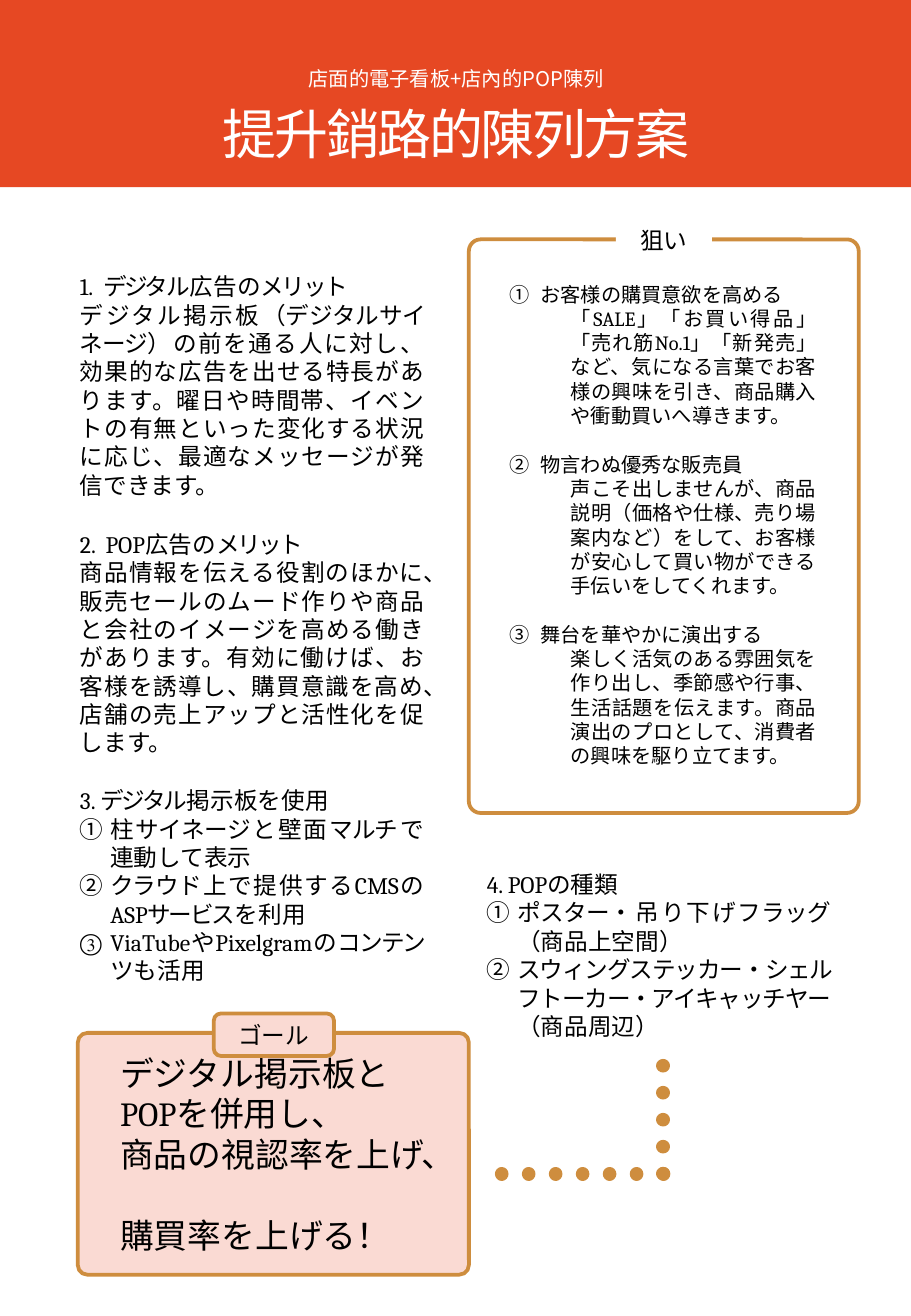
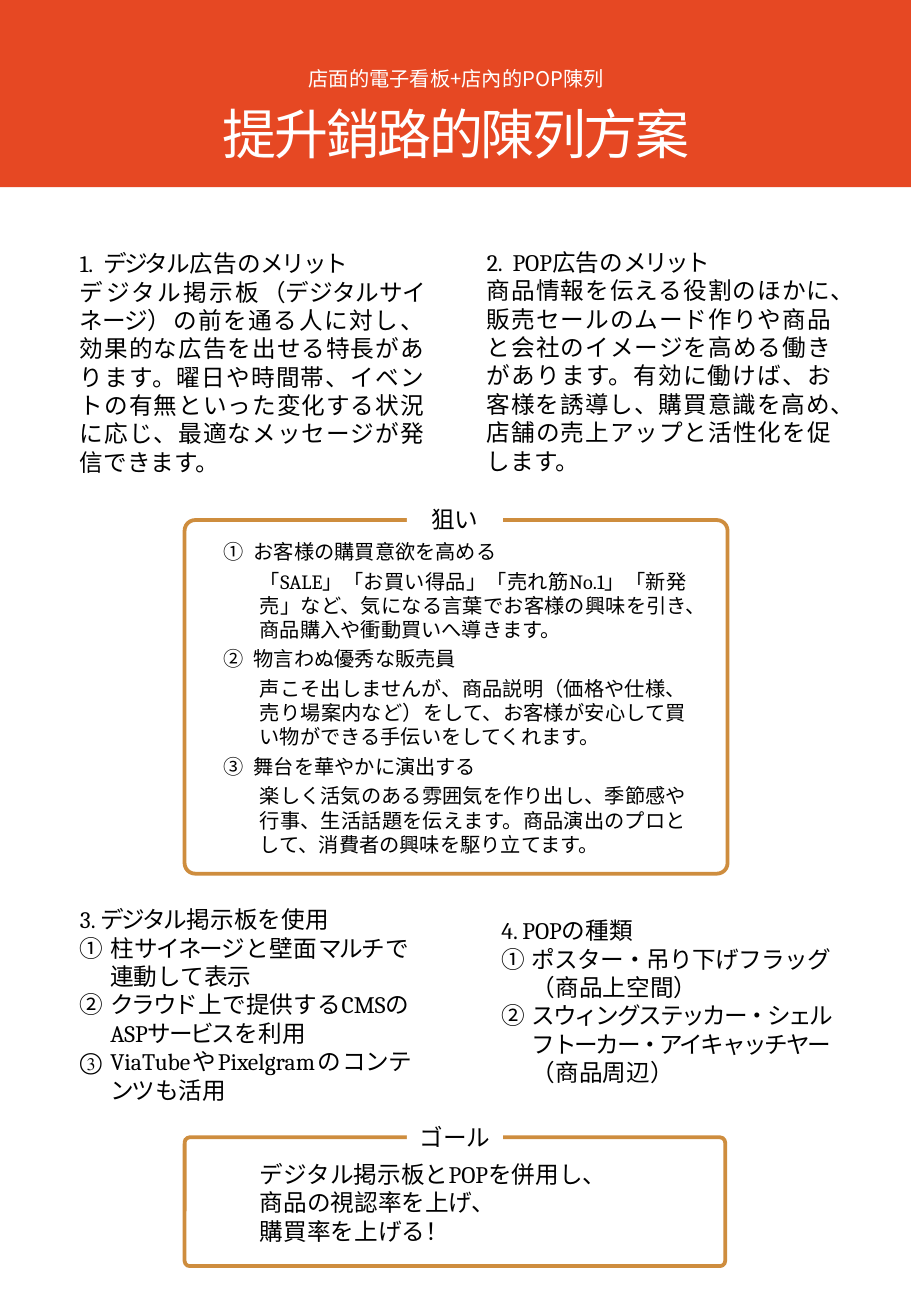
from lxml.etree import SubElement
from pptx import Presentation
from pptx.dml.color import RGBColor
from pptx.enum.dml import MSO_LINE
from pptx.enum.shapes import MSO_CONNECTOR, MSO_SHAPE
from pptx.enum.text import MSO_ANCHOR, MSO_AUTO_SIZE, PP_ALIGN
from pptx.oxml.ns import qn
from pptx.util import Inches, Pt

RED = RGBColor(0xE6, 0x48, 0x23)
GOLD = RGBColor(0xCE, 0x8D, 0x3E)
PINK = RGBColor(0xFA, 0xDA, 0xD3)
WHITE = RGBColor(0xFF, 0xFF, 0xFF)
BLACK = RGBColor(0, 0, 0)
SERIF = "Cambria"
SANS = "Noto Sans CJK JP"
LEADING = 1.2
STEP = 0.25

# Markup: "#" starts a numbered item, ">" its detail, bars enclose tight text.
DIGITAL = [
    "1.  |デジタル|広告の|メリット|",
    "デジタル掲示板|（デジタルサイネージ）|の前を通る人に対し、効果的な広告を出せる"
    "特長があります。曜日や時間帯、イベントの有無といった変化する状況に応じ、"
    "最適なメッセージが発信できます。",
]
POP = [
    "2.  POP広告の|メリット|",
    "商品情報を伝える役割のほかに、販売セールのムード作りや商品と会社のイメージを"
    "高める働きがあります。有効に働けば、お客様を誘導し、購買意識を高め、"
    "店舗の売上アップと活性化を促します。",
]
BOARD = [
    "3. |デジタル|掲示板を使用",
    "#柱|サイネージ|と壁面|マルチ|で連動して表示",
    "#|クラウド|上で提供するCMSのASP|サービス|を利用",
    "#ViaTubeやPixelgramの|コンテンツ|も活用",
]
KINDS = [
    "4. POPの種類",
    "#|ポスター・|吊り下げ|フラッグ|（商品上空間）",
    "#|スウィングステッカー・シェルフトーカー・アイキャッチヤー|（商品周辺）",
]
AIMS = [
    "#お客様の購買意欲を高める",
    ">「SALE」「お買い得品」「売れ筋No.1」「新発売」など、気になる言葉で"
    "お客様の興味を引き、商品購入や衝動買いへ導きます。",
    "#物言わぬ優秀な販売員",
    ">声こそ出しませんが、商品説明（価格や仕様、売り場案内など）をして、"
    "お客様が安心して買い物ができる手伝いをしてくれます。",
    "#舞台を華やかに演出する",
    ">楽しく活気のある雰囲気を作り出し、季節感や行事、生活話題を伝えます。"
    "商品演出のプロとして、消費者の興味を駆り立てます。",
]
GOAL = "POPを併用し、\n商品の視認率を上げ、\n購買率を上げる！"


def style(run, size, font, color, tight):
    run.font.size = Pt(size)
    run.font.name = font
    run.font.color.rgb = color
    props = run.font._element
    SubElement(props, qn("a:ea")).set("typeface", SANS)
    if tight:
        props.set("spc", "-150")


def indent(para, left, first=0):
    props = para._p.get_or_add_pPr()
    props.set("marL", str(Inches(left)))
    props.set("indent", str(Inches(first)))
    return props


def write(frame, lines, size=14, font=SERIF, color=BLACK, align=PP_ALIGN.JUSTIFY,
          anchor=MSO_ANCHOR.TOP, sub=0.5, after=0, gap=0):
    """Fill a frame with marked-up lines; gap follows each detail paragraph."""
    frame.word_wrap = True
    frame.vertical_anchor = anchor
    for row, line in enumerate(lines):
        para = frame.add_paragraph() if row else frame.paragraphs[0]
        para.alignment = align
        para.line_spacing = Pt(size * LEADING)
        space = after
        if line.startswith("#"):
            number = SubElement(indent(para, STEP, -STEP), qn("a:buAutoNum"))
            number.set("type", "circleNumDbPlain")
        elif line.startswith(">"):
            para.level = 1
            indent(para, sub)
            space = gap
        if space:
            para.space_after = Pt(space)
        for part, words in enumerate(line.lstrip("#>").split("|")):
            for turn, piece in enumerate(words.split("\n")):
                if turn:
                    para.add_line_break()
                if piece:
                    run = para.add_run()
                    run.text = piece
                    style(run, size, font, color, part % 2)


def label(slide, left, top, width, height, lines, **format):
    box = slide.shapes.add_textbox(*map(Inches, (left, top, width, height)))
    write(box.text_frame, lines, **format)
    box.text_frame.auto_size = MSO_AUTO_SIZE.SHAPE_TO_FIT_TEXT


def block(slide, left, top, width, height, fill=None, line=None, round=None):
    """Add a rectangle, with rounded corners when round is given."""
    kind = MSO_SHAPE.RECTANGLE if round is None else MSO_SHAPE.ROUNDED_RECTANGLE
    shape = slide.shapes.add_shape(kind, *map(Inches, (left, top, width, height)))
    shape.shadow.inherit = False
    if round is not None:
        shape.adjustments[0] = round
    if fill is None:
        shape.fill.background()
    else:
        shape.fill.solid()
        shape.fill.fore_color.rgb = fill
    if line is None:
        shape.line.fill.background()
    else:
        shape.line.color.rgb = line
        shape.line.width = Pt(2.25)
    return shape


def tag(slide, left, top, words):
    """Put a white caption over the top edge of a frame."""
    shape = block(slide, left, top, 0.79, 0.34, fill=WHITE)
    write(shape.text_frame, [words], font=SANS, align=PP_ALIGN.CENTER)


def dots(slide, *ends):
    line = slide.shapes.add_connector(MSO_CONNECTOR.STRAIGHT, *map(Inches, ends))
    line.line.color.rgb = GOLD
    line.line.width = Pt(8)
    line.line.dash_style = MSO_LINE.ROUND_DOT
    props = line._element.spPr
    props.find(qn("a:ln")).set("cap", "rnd")
    SubElement(props, qn("a:effectLst"))


def start(deck):
    """Add a slide with the shared title band."""
    slide = deck.slides.add_slide(deck.slide_layouts[6])
    block(slide, 0, -0.03, 7.5, 1.57, fill=RED)
    head = dict(font=SANS, color=WHITE, align=PP_ALIGN.CENTER)
    label(slide, 1.54, 0.5, 4.43, 0.3, ["店面的電子看板+店內的POP陳列"],
          size=12, **head)
    label(slide, 1.22, 0.78, 5.07, 0.64, ["|提升銷路的陳列方案|"], size=32, **head)
    return slide


def columns(deck):
    slide = start(deck)
    label(slide, 0.56, 2.19, 3.03, 1.99, DIGITAL)
    block(slide, 0.64, 8.5, 3.22, 1.99, fill=PINK, line=GOLD, round=0.04)
    label(slide, 0.89, 8.77, 2.72, 1.45, ["デジタル掲示板と\n" + GOAL],
          size=20, align=PP_ALIGN.LEFT, anchor=MSO_ANCHOR.MIDDLE)
    label(slide, 0.56, 4.31, 3.03, 1.99, POP)
    label(slide, 0.56, 6.42, 3.03, 1.75, BOARD)
    label(slide, 3.91, 7.11, 3.03, 1.51, KINDS)
    block(slide, 3.86, 1.97, 3.21, 4.72, line=GOLD, round=0.03)
    label(slide, 4.1, 2.27, 2.72, 4.14, AIMS, size=12, gap=12 * LEADING)
    tag(slide, 5.07, 1.81, "狙い")
    dots(slide, 5.46, 8.77, 5.46, 9.68)
    dots(slide, 4.13, 9.66, 5.49, 9.66)
    goal = block(slide, 1.76, 8.34, 0.99, 0.35, fill=PINK, line=GOLD, round=0.17)
    write(goal.text_frame, ["ゴール"], font=SANS, align=PP_ALIGN.CENTER,
          anchor=MSO_ANCHOR.MIDDLE)


def centred(deck):
    slide = start(deck)
    label(slide, 0.56, 2, 3.03, 1.99, DIGITAL)
    label(slide, 3.91, 1.99, 3.03, 1.99, POP)
    label(slide, 0.56, 7.4, 2.91, 1.75, BOARD)
    title, hung, small = KINDS
    hung = hung.replace("|吊り下げ|", "吊り下げ")
    label(slide, 4.03, 7.49, 2.91, 1.51, [title, hung, small])
    block(slide, 1.52, 4.28, 4.47, 2.91, line=GOLD, round=0.03)
    label(slide, 1.74, 4.39, 4.01, 2.73, AIMS, size=12, sub=0.3, after=3, gap=3)
    tag(slide, 3.35, 4.11, "狙い")
    block(slide, 1.52, 9.36, 4.45, 1.06, line=GOLD, round=0.04)
    label(slide, 2.04, 9.49, 3.43, 0.81, ["デジタル掲示板と" + GOAL],
          align=PP_ALIGN.LEFT, anchor=MSO_ANCHOR.MIDDLE)
    tag(slide, 3.35, 9.19, "ゴール")


def main():
    deck = Presentation()
    deck.slide_width = Inches(7.5)
    deck.slide_height = Inches(10.83)
    columns(deck)
    centred(deck)
    deck.save("out.pptx")


if __name__ == "__main__":
    main()
